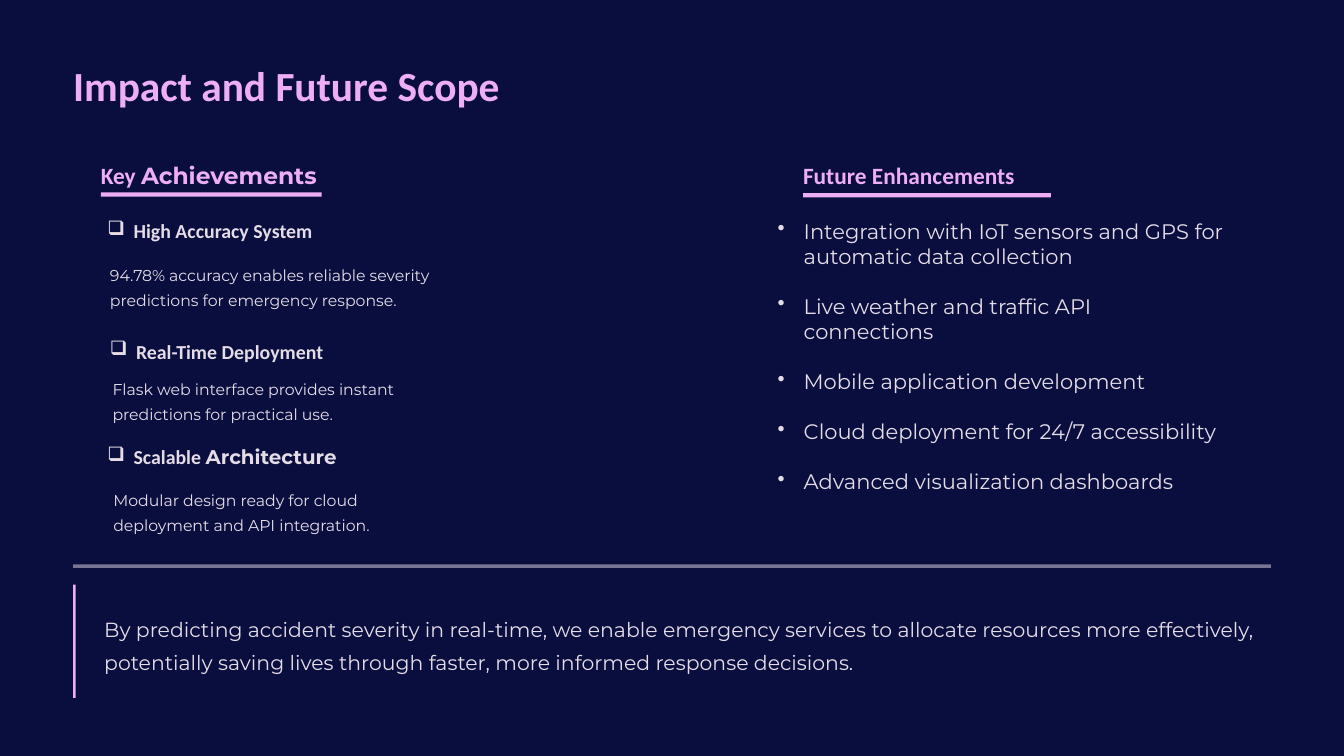
from dataclasses import dataclass

from lxml import etree
from pptx import Presentation
from pptx import util as u
from pptx.dml.color import RGBColor
from pptx.enum import shapes, text
from pptx.oxml import ns

EMU_PER_PX = 9144  # 100 px to the inch
COLORS = {"navy": "090E3F", "pink": "EEAEF6", "pale": "E5DCE6"}
HEADING_FONT, BODY_FONT = "Calibri", "Montserrat"
BULLET_INDENT = 31


@dataclass(frozen=True)
class Style:
    size: float
    leading: float
    font: str
    color: str
    bold: bool = False
    wrap: bool = False
    bullet: str = ""
    gap: float = 0
    inset: tuple[int, int] = (0, 0)


@dataclass(frozen=True)
class Bar:
    left: int
    top: int
    width: int
    height: int
    color: str = "pink"
    opacity: int = 100


@dataclass(frozen=True)
class Label:
    """Text in a box; a "|" in a paragraph switches to the body font."""
    left: int
    top: int
    width: int
    height: int
    paragraphs: tuple[str, ...]
    style: Style


TITLE = Style(35.5, 44.5, HEADING_FONT, "pink", bold=True)
SECTION = Style(20, 25.5, HEADING_FONT, "pink", bold=True)
ACHIEVEMENT = Style(17, 21, HEADING_FONT, "pale", bold=True, bullet="❑")
DETAIL = Style(13.5, 21.5, BODY_FONT, "pale", wrap=True)
PLAN = Style(18, 21.5, BODY_FONT, "pale", wrap=True, bullet="•", gap=21.5, inset=(10, 5))
SUMMARY = Style(17.5, 28.5, BODY_FONT, "pale", wrap=True)

BARS = (
    Bar(120, 229, 263, 5),
    Bar(956, 230, 295, 5),
    Bar(87, 672, 1426, 4, "pale", 50),
    Bar(87, 696, 3, 135),
)
LABELS = (
    Label(87, 69, 598, 62, ("Impact and Future Scope",), TITLE),
    Label(120, 190, 284, 36, ("Key |Achievements",), SECTION),
    Label(128, 260, 264, 30, ("High Accuracy System",), ACHIEVEMENT),
    Label(131, 309, 390, 91, (
        "94.78% accuracy enables reliable severity predictions for emergency response.",), DETAIL),
    Label(131, 403, 263, 30, ("Real-Time Deployment",), ACHIEVEMENT),
    Label(134, 445, 390, 61, (
        "Flask web interface provides instant predictions for practical use.",), DETAIL),
    Label(128, 529, 254, 30, ("Scalable |Architecture",), ACHIEVEMENT),
    Label(135, 577, 390, 61, (
        "Modular design ready for cloud deployment and API integration.",), DETAIL),
    Label(956, 190, 312, 36, ("Future Enhancements",), SECTION),
    Label(916, 255, 553, 410, (
        "Integration with IoT sensors and GPS for automatic data collection",
        "Live weather and traffic API connections",
        "Mobile application development",
        "Cloud deployment for 24/7 accessibility",
        "Advanced visualization dashboards",
    ), PLAN),
    Label(124, 724, 1389, 79, (
        "By predicting accident severity in real-time, we enable emergency services to allocate "
        "resources more effectively, potentially saving lives through faster, more informed "
        "response decisions.",), SUMMARY),
)


def px(length: int) -> u.Emu:
    return u.Emu(length * EMU_PER_PX)


def rgb(name: str) -> RGBColor:
    return RGBColor.from_string(COLORS[name])


def bounds(item: Bar | Label) -> tuple[u.Emu, ...]:
    return px(item.left), px(item.top), px(item.width), px(item.height)


def set_all(target, values: dict) -> None:
    for name, value in values.items():
        setattr(target, name, value)


def draw_bar(page, bar: Bar) -> None:
    shape = page.shapes.add_shape(shapes.MSO_SHAPE.RECTANGLE, *bounds(bar))
    shape.shadow.inherit = False
    shape.line.fill.background()
    shape.fill.solid()
    shape.fill.fore_color.rgb = rgb(bar.color)
    if bar.opacity < 100:
        color = shape.fill._xPr.find(".//" + ns.qn("a:srgbClr"))
        etree.SubElement(color, ns.qn("a:alpha"), val=str(bar.opacity * 1000))


def add_bullet(para, symbol: str) -> None:
    properties = para._p.get_or_add_pPr()
    properties.set("marL", str(px(BULLET_INDENT)))
    properties.set("indent", str(-px(BULLET_INDENT)))
    etree.SubElement(properties, ns.qn("a:buChar"), char=symbol)


def draw_label(page, label: Label) -> None:
    style = label.style
    frame = page.shapes.add_textbox(*bounds(label)).text_frame
    side, end = map(px, style.inset)
    set_all(frame, {
        "word_wrap": style.wrap, "auto_size": text.MSO_AUTO_SIZE.NONE,
        "margin_left": side, "margin_right": side, "margin_top": end, "margin_bottom": end,
    })
    for index, content in enumerate(label.paragraphs):
        para = frame.add_paragraph() if index else frame.paragraphs[0]
        if style.bullet:
            add_bullet(para, style.bullet)
        set_all(para, {
            "line_spacing": u.Pt(style.leading),
            "space_before": u.Pt(style.gap if index else 0),
        })
        for part, words in enumerate(content.split("|")):
            span = para.add_run()
            span.text = words
            set_all(span.font, {
                "name": BODY_FONT if part else style.font,
                "size": u.Pt(style.size), "bold": style.bold,
            })
            span.font.color.rgb = rgb(style.color)


def main() -> None:
    deck = Presentation()
    set_all(deck, {"slide_width": px(1600), "slide_height": px(900)})
    page = deck.slides.add_slide(deck.slide_layouts[6])
    page.background.fill.solid()
    page.background.fill.fore_color.rgb = rgb("navy")
    for bar in BARS:
        draw_bar(page, bar)
    for label in LABELS:
        draw_label(page, label)
    deck.save("out.pptx")


if __name__ == "__main__":
    main()
